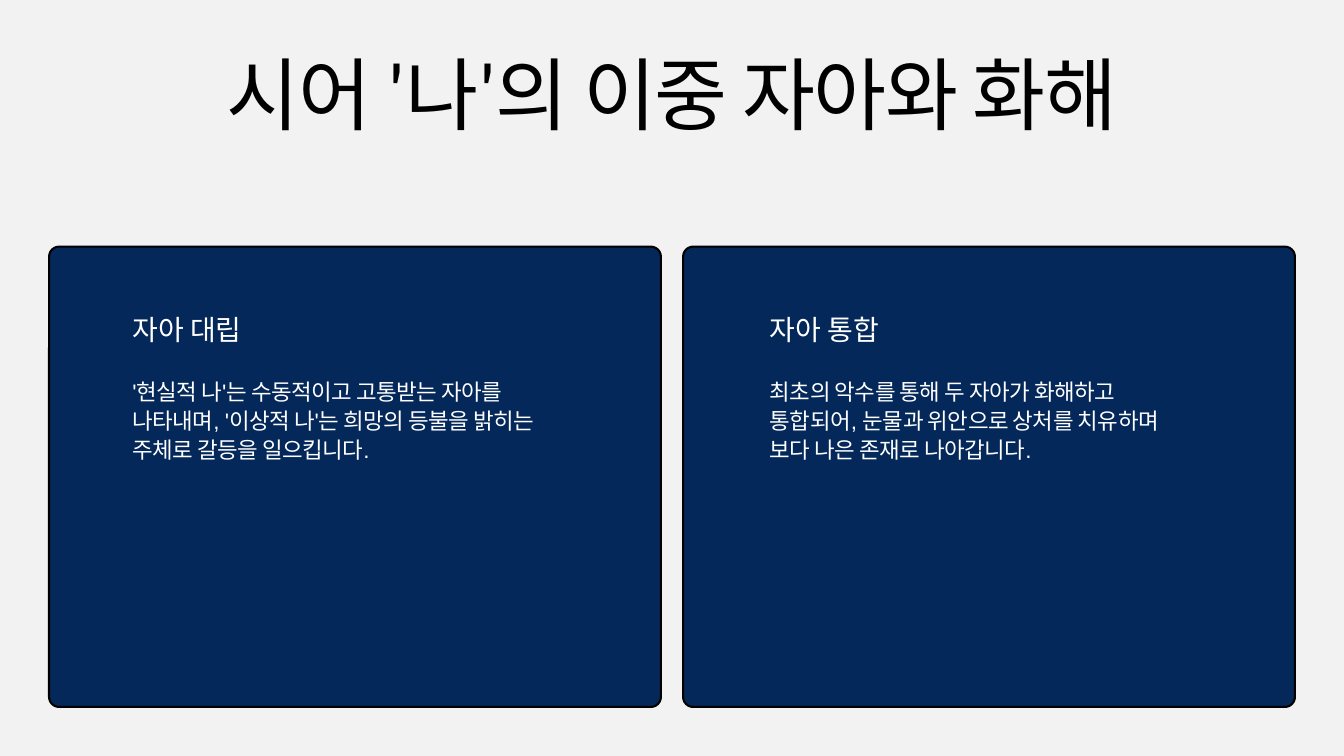
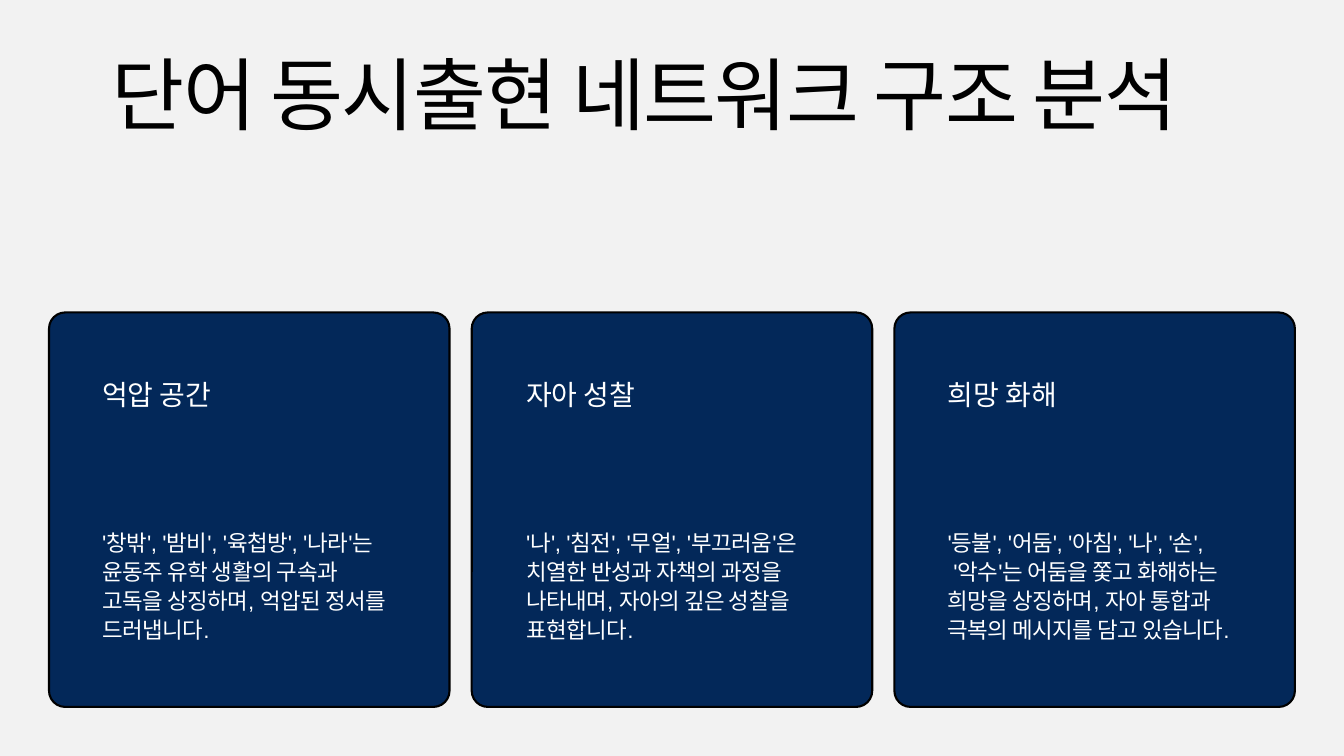
"""Build two slides of titled card rows about self and reconciliation in a poem."""
from dataclasses import dataclass

import pptx
import pptx.dml.color
import pptx.enum.shapes
import pptx.enum.text
import pptx.util

Inches = pptx.util.Inches
Pt = pptx.util.Pt
RGBColor = pptx.dml.color.RGBColor


@dataclass(frozen=True)
class TextStyle:
    font: str
    size: float
    leading: float
    color: str
    tracking: float = 0
    align: str = "LEFT"


@dataclass(frozen=True)
class Theme:
    width: float = 20
    height: float = 11.25
    margin: float = 0.73
    gap: float = 0.33
    background: str = "F2F2F2"
    card_fill: str = "032859"
    card_line: str = "000000"
    card_line_width: float = 2.25
    title: TextStyle = TextStyle("Roboto Slab", 85, 85, "000000", -1.7, "CENTER")
    heading: TextStyle = TextStyle("Roboto Slab", 30, 39, "FFFFFF")
    body: TextStyle = TextStyle("Arial", 24, 31.2, "FFFFFF", -0.5)


@dataclass(frozen=True)
class Card:
    heading: str
    body: str
    inset: float
    text_width: float


@dataclass(frozen=True)
class CardRow:
    top: float
    radius: float
    heading_offset: float
    body_offset: float
    body_height: float


THEME = Theme()


def color(value):
    return RGBColor.from_string(value)


def write_text(shape, text, style):
    frame = shape.text_frame
    frame.word_wrap = True
    frame.margin_left = frame.margin_right = frame.margin_top = frame.margin_bottom = 0
    frame.vertical_anchor = pptx.enum.text.MSO_ANCHOR.TOP
    frame.auto_size = pptx.enum.text.MSO_AUTO_SIZE.SHAPE_TO_FIT_TEXT
    frame.text = text
    paragraph = frame.paragraphs[0]
    paragraph.alignment = pptx.enum.text.PP_ALIGN[style.align]
    paragraph.line_spacing = Pt(style.leading)
    font = paragraph.font
    font.name = style.font
    font.size = Pt(style.size)
    font.color.rgb = color(style.color)
    font._element.set("spc", str(round(style.tracking * 100)))


def add_text(slide, left, top, width, height, text, style):
    box = slide.shapes.add_textbox(Inches(left), Inches(top), Inches(width), Inches(height))
    write_text(box, text, style)


def add_titled_slide(presentation, text, left, width):
    slide = presentation.slides.add_slide(presentation.slide_layouts.get_by_name("Title Only"))
    title = slide.shapes.title
    title.left, title.top = Inches(left), Inches(0.91)
    title.width, title.height = Inches(width), Inches(1.24)
    write_text(title, text, THEME.title)
    return slide


def add_panel(slide, left, top, width, height, radius):
    panel = slide.shapes.add_shape(
        pptx.enum.shapes.MSO_SHAPE.ROUNDED_RECTANGLE,
        Inches(left), Inches(top), Inches(width), Inches(height))
    panel.adjustments[0] = radius / min(width, height)
    panel.shadow.inherit = False
    panel.fill.solid()
    panel.fill.fore_color.rgb = color(THEME.card_fill)
    panel.line.color.rgb = color(THEME.card_line)
    panel.line.width = Pt(THEME.card_line_width)


def add_cards(slide, row, cards):
    count = len(cards)
    width = (THEME.width - 2 * THEME.margin - (count - 1) * THEME.gap) / count
    height = THEME.height - THEME.margin - row.top
    for column, card in enumerate(cards):
        left = THEME.margin + column * (width + THEME.gap)
        text_left = left + card.inset
        add_panel(slide, left, row.top, width, height, row.radius)
        add_text(slide, text_left, row.top + row.heading_offset,
                 card.text_width, 0.53, card.heading, THEME.heading)
        add_text(slide, text_left, row.top + row.body_offset,
                 card.text_width, row.body_height, card.body, THEME.body)


def main():
    presentation = pptx.Presentation()
    presentation.slide_width = Inches(THEME.width)
    presentation.slide_height = Inches(THEME.height)
    background = presentation.slide_master.background.fill
    background.solid()
    background.fore_color.rgb = color(THEME.background)

    selves = add_titled_slide(presentation, "시어 '나'의 이중 자아와 화해", 2.3, 15.4)
    add_cards(selves, CardRow(3.67, 0.15, 0.94, 1.92, 1.28), [
        Card("자아 대립",
             "'현실적 나'는 수동적이고 고통받는 자아를 나타내며, "
             "'이상적 나'는 희망의 등불을 밝히는 주체로 갈등을 일으킵니다.", 1.24, 6.29),
        Card("자아 통합",
             "최초의 악수를 통해 두 자아가 화해하고 통합되어, "
             "눈물과 위안으로 상처를 치유하며 보다 나은 존재로 나아갑니다.", 1.29, 6.22),
    ])

    network = add_titled_slide(presentation, "단어 동시출현 네트워크 구조 분석", 1.12, 16.94)
    add_cards(network, CardRow(4.65, 0.24, 0.93, 3.19, 1.72), [
        Card("억압 공간",
             "'창밖', '밤비', '육첩방', '나라'는 윤동주 유학 생활의 "
             "구속과 고독을 상징하며, 억압된 정서를 드러냅니다.", 0.79, 4.39),
        Card("자아 성찰",
             "'나', '침전', '무얼', '부끄러움'은 치열한 반성과 자책의 "
             "과정을 나타내며, 자아의 깊은 성찰을 표현합니다.", 0.81, 4.34),
        Card("희망 화해",
             "'등불', '어둠', '아침', '나', '손', '악수'는 어둠을 쫓고 화해하는 "
             "희망을 상징하며, 자아 통합과 극복의 메시지를 담고 있습니다.", 0.79, 4.39),
    ])
    presentation.save("out.pptx")


if __name__ == "__main__":
    main()
